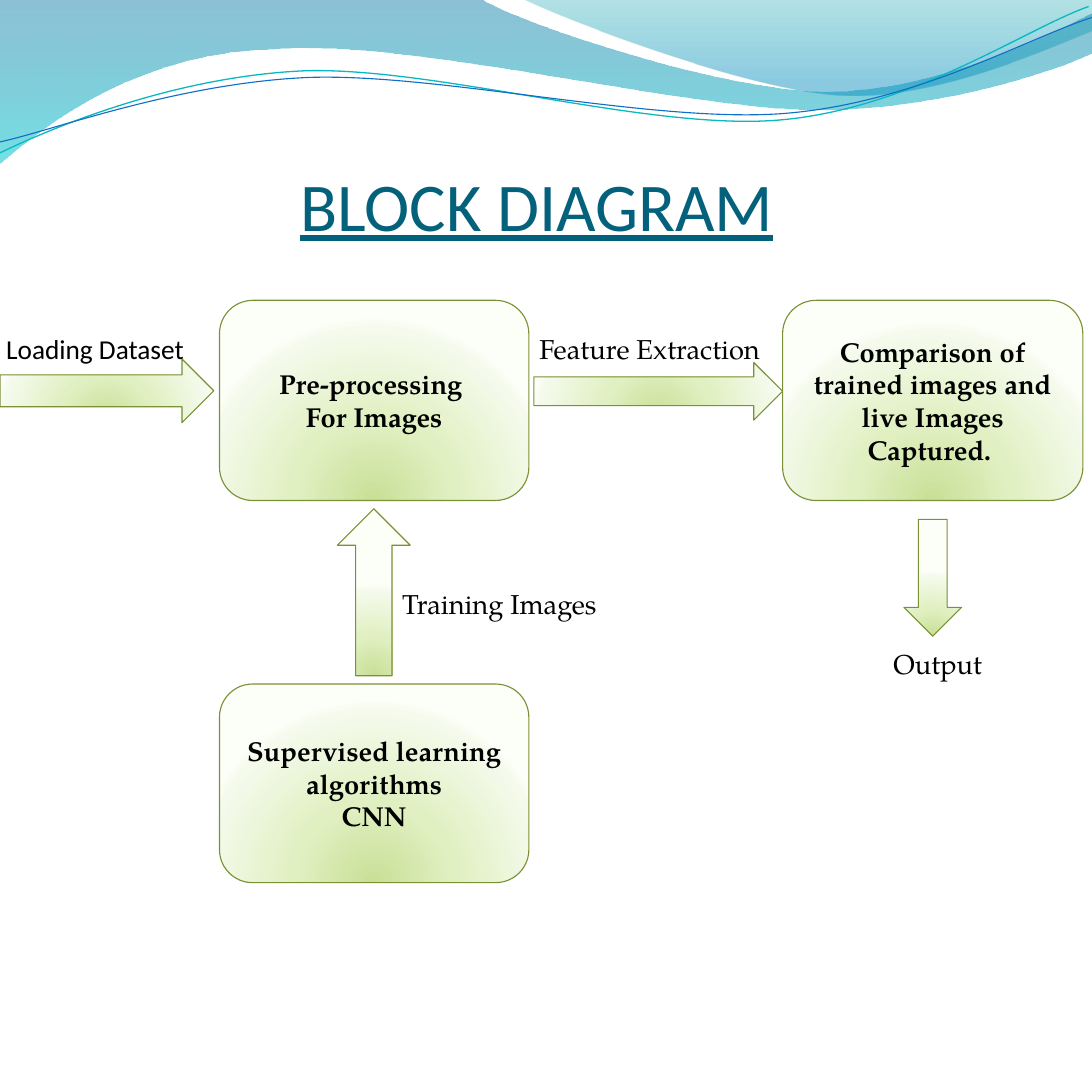
"""Build the block diagram slide with its wave banner."""
from itertools import chain
from lxml import etree
from pptx import Presentation
from pptx import util as u
from pptx.dml.color import RGBColor
from pptx.enum import shapes, text
from pptx.oxml import ns, parse_xml

COLORS = {
    "title": "04617B", "text": "000000", "border": "7B9135",
    "teal": "0AB8BF", "blue": "0F6FC6",
}
SANS, SERIF = "Calibri", "TeX Gyre Pagella"
KIND = shapes.MSO_SHAPE

GLOW = [(0, "C9DF97", 100), (43, "E0F0C1", 100), (93, "F5FAEC", 100), (100, "FCFEF8", 100)]
GLOW_CENTRE = ('<a:path path="circle"><a:fillToRect l="50000" t="130000" '
               'r="50000" b="-30000"/></a:path>')
DOWNWARD = '<a:lin ang="5400000" scaled="1"/>'

BANDS = [
    ([(0, "0074A1", 45), (100, "00C6CF", 55)], (0, -0.7), [
        [(316.8, -0.7)],
        [(342.7, 15.8), (478.1, 60.5), (545.8, 60.5)],
        [(614.2, 60.5), (689.8, 24.5), (720, 8.6)],
        [(720.7, 34.6)],
        [(708.5, 41.8), (626.4, 72.7), (537.1, 72.7)],
        [(447.8, 72), (275, 26.6), (185, 32.4)],
        [(92.9, 33.8), (33.1, 79.9), (-0.7, 108.7)]]),
    ([(0, "00A1A9", 30), (80, "008BBF", 45)], (344.9, -0.7), [
        [(366.5, 10.8), (491, 59), (553.7, 62.6)],
        [(616.3, 66.2), (692.6, 31), (720, 20.2)],
        [(720, 0)]]),
]
STRANDS = [
    ("teal", 0.85, (0, 100.8), [
        [(34.6, 84.2), (113, 51.1), (198.7, 46.8)],
        [(284.4, 43.2), (427, 86.4), (513.4, 79.2)],
        [(600.5, 72), (675.4, 19.4), (717.8, 4.3)]]),
    ("blue", 0.75, (0, 93.6), [
        [(33.8, 86.4), (117.4, 54.7), (203.8, 51.1)],
        [(289.4, 48.2), (430.6, 81.4), (516.2, 74.9)],
        [(602.6, 68.4), (677.5, 25.2), (720, 11.5)]]),
]
BLOCKS = [
    ((144.7, 198, 204, 132), "Pre-processing \nFor Images"),
    ((516, 198, 198, 132), "Comparison of trained images and live Images Captured. "),
    ((144.7, 451, 204, 131), "Supervised learning algorithms\nCNN"),
]
ARROWS = [
    (KIND.RIGHT_ARROW, (0, 236.7, 141, 42)),
    (KIND.RIGHT_ARROW, (352, 239, 164, 38)),
    (KIND.UP_ARROW, (222.5, 335.5, 48, 110)),
    (KIND.DOWN_ARROW, (596, 342.5, 38, 77)),
]
LABELS = [
    ((-3, 215.5, 132, 29), "Loading Dataset", SANS),
    ((348.5, 215.5, 194, 29), "Feature Extraction", SERIF),
    ((258, 383.5, 144, 29), "Training Images", SERIF),
    ((582, 423, 90, 29), "Output", SERIF),
]


def points(values):
    return [u.Pt(value) for value in values]


def color(name):
    return RGBColor.from_string(COLORS[name])


def set_gradient(shape, stops, direction):
    items = "".join(
        f'<a:gs pos="{place * 1000}"><a:srgbClr val="{tone}">'
        f'<a:alpha val="{alpha * 1000}"/></a:srgbClr></a:gs>'
        for place, tone, alpha in stops)
    gradient = parse_xml(f'<a:gradFill {ns.nsdecls("a")} rotWithShape="1">'
                         f'<a:gsLst>{items}</a:gsLst>{direction}</a:gradFill>')
    shape.fill.background()
    properties = shape._element.spPr
    properties.replace(properties.find(ns.qn("a:noFill")), gradient)


def set_line(shape, name, width):
    shape.line.color.rgb = color(name)
    shape.line.width = u.Pt(width)


def bend(wave, segments):
    lines = iter(list(wave._element.iter(ns.qn("a:lnTo"))))
    for segment in segments:
        steps = [next(lines) for _ in segment]
        if len(steps) == 3:
            curve = etree.Element(ns.qn("a:cubicBezTo"))
            steps[0].addprevious(curve)
            for step in steps:
                curve.append(step[0])
                step.getparent().remove(step)


def add_wave(page, start, segments, close):
    builder = page.shapes.build_freeform(*points(start))
    builder.add_line_segments([points(spot) for spot in chain(*segments)], close)
    wave = builder.convert_to_shape()
    bend(wave, segments)
    wave.shadow.inherit = False
    return wave


def add_banner(page):
    for stops, start, segments in BANDS:
        band = add_wave(page, start, segments, True)
        set_gradient(band, stops, DOWNWARD)
        band.line.fill.background()
    for name, width, start, segments in STRANDS:
        strand = add_wave(page, start, segments, False)
        strand.fill.background()
        set_line(strand, name, width)


def write(frame, words, font, size=18, name="text", bold=False, underline=False,
          align=text.PP_ALIGN.LEFT):
    frame.text = words
    frame.word_wrap = True
    for para in frame.paragraphs:
        para.alignment = align
        for span in para.runs:
            span.font.name = font
            span.font.size = u.Pt(size)
            span.font.bold = bold
            span.font.underline = underline
            span.font.color.rgb = color(name)


def add_title(page, words):
    title = page.shapes.title
    title.left, title.top, title.width, title.height = points((198, 82, 408, 133))
    frame = title.text_frame
    write(frame, words, SANS, 45, "title", underline=True)
    frame.auto_size = text.MSO_AUTO_SIZE.NONE
    frame.vertical_anchor = text.MSO_ANCHOR.BOTTOM
    frame.margin_left = frame.margin_right = frame.margin_top = 0
    frame.margin_bottom = u.Pt(53.3)


def add_glowing(page, kind, bounds):
    shape = page.shapes.add_shape(kind, *points(bounds))
    shape.shadow.inherit = False
    set_gradient(shape, GLOW, GLOW_CENTRE)
    set_line(shape, "border", 0.75)
    return shape


def add_block(page, bounds, words):
    block = add_glowing(page, KIND.ROUNDED_RECTANGLE, bounds)
    write(block.text_frame, words, SERIF, bold=True, align=text.PP_ALIGN.CENTER)
    block.text_frame.vertical_anchor = text.MSO_ANCHOR.MIDDLE


def add_label(page, bounds, words, font):
    box = page.shapes.add_textbox(*points(bounds))
    write(box.text_frame, words, font)


def main():
    deck = Presentation()
    deck.slide_width = deck.slide_height = u.Pt(720)
    page = deck.slides.add_slide(deck.slide_layouts[5])
    add_banner(page)
    add_title(page, "BLOCK DIAGRAM")
    for bounds, words in BLOCKS:
        add_block(page, bounds, words)
    for kind, bounds in ARROWS:
        add_glowing(page, kind, bounds)
    for bounds, words, font in LABELS:
        add_label(page, bounds, words, font)
    deck.save("out.pptx")


main()
